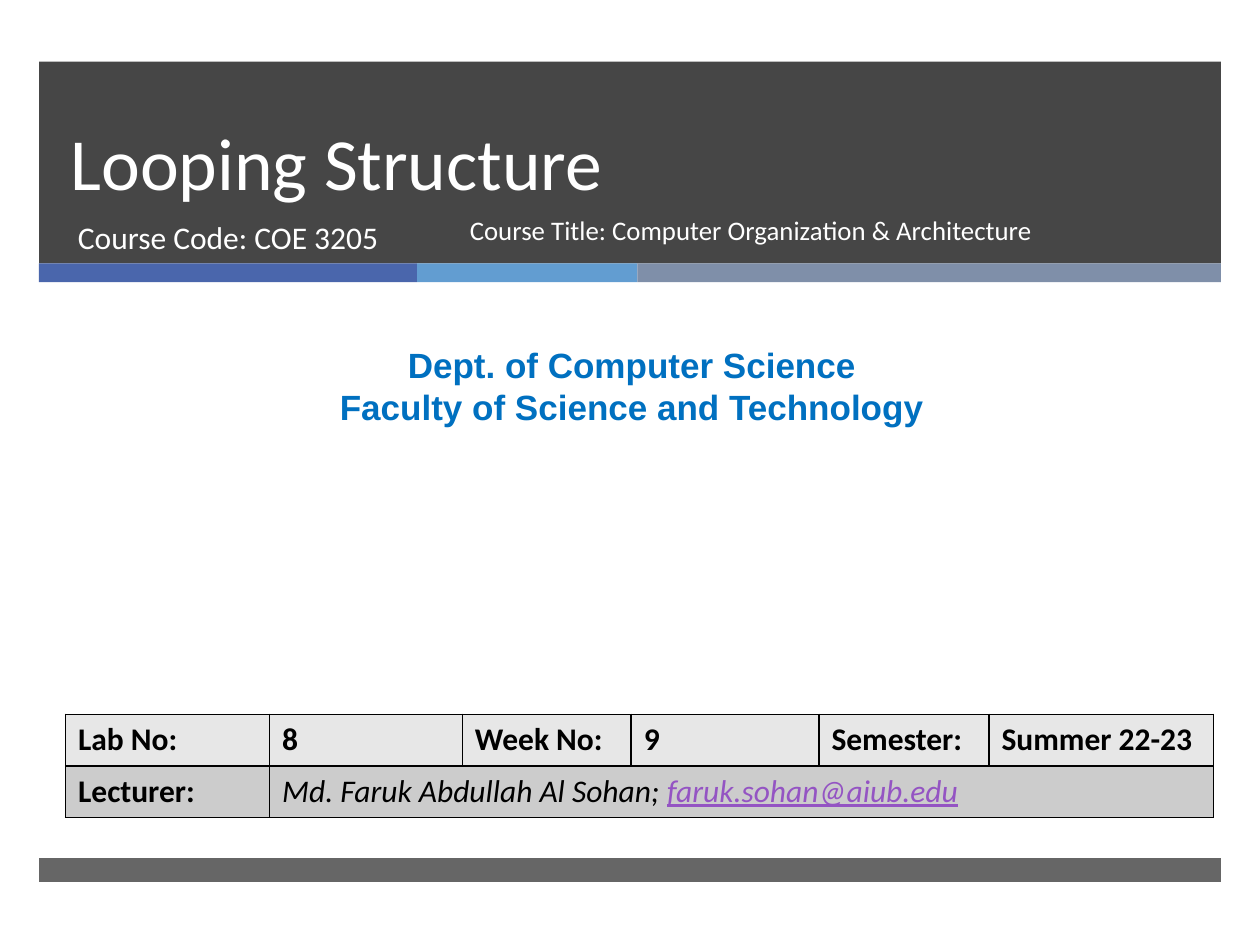
from lxml.etree import SubElement
from pptx import Presentation
from pptx.dml.color import RGBColor
from pptx.enum.shapes import MSO_SHAPE
from pptx.enum.text import MSO_ANCHOR, PP_ALIGN
from pptx.oxml import parse_xml
from pptx.oxml.ns import nsdecls, qn
from pptx.util import Inches, Pt

THEME = {
    "dark": "262626", "white": "FFFFFF", "black": "000000",
    "dept": "0070C0", "email": "9454C3",
    "stripes": ["4A66AC", "629DD1", "7F8FA9"],
    "rows": ["E7E7E7", "CCCCCC"],
    "font": "Calibri", "dept_font": "Arial",
    "title": 42, "body": 18, "dept_size": 20, "course": 15.3,
}

TITLE = "Looping Structure"
COURSE_CODE = "Course Code: COE 3205"
COURSE_TITLE = "Course Title: Computer Organization & Architecture"
DEPT = ["Dept. of Computer Science", "Faculty of Science and Technology"]
LAB_INFO = ["Lab No:", "8", "Week No:", "9", "Semester:", "Summer 22-23"]
LECTURER_LABEL = "Lecturer:"
LECTURER = "Md. Faruk Abdullah Al Sohan; "
EMAIL = "faruk.sohan@aiub.edu"

LEFT, WIDTH = 0.31, 9.38
STRIPE_WIDTHS = [3, 1.75, 4.63]
COL_WIDTHS = [1.62, 1.53, 1.34, 1.49, 1.35, 1.78]
ROW_HEIGHT = 0.41


def rgb(color):
    return RGBColor.from_string(color)


def format_run(r, size, color, font=THEME["font"], bold=False, italic=False):
    r.font.name, r.font.size = font, Pt(size)
    r.font.bold, r.font.italic = bold, italic
    r.font.color.rgb = rgb(color)


def add_band(s, x, y, w, h, color, opacity=100):
    sp = s.shapes.add_shape(MSO_SHAPE.RECTANGLE, *map(Inches, (x, y, w, h)))
    sp.shadow.inherit = False
    sp.line.fill.background()
    sp.fill.solid()
    sp.fill.fore_color.rgb = rgb(color)
    if opacity < 100:
        clr = sp.element.spPr.find(f".//{qn('a:srgbClr')}")
        SubElement(clr, qn("a:alpha")).set("val", str(opacity * 1000))


def fill_text(sp, lines, size, color, align=PP_ALIGN.LEFT, **style):
    tf = sp.text_frame
    tf.word_wrap = True
    tf.text = "\n".join(lines)
    for p in tf.paragraphs:
        p.alignment = align
        for r in p.runs:
            format_run(r, size, color, **style)
    return tf


def add_text(s, box, lines, size, color, **style):
    sp = s.shapes.add_textbox(*map(Inches, box))
    return fill_text(sp, lines, size, color, **style)


def style_cell(cell, color):
    cell.fill.solid()
    cell.fill.fore_color.rgb = rgb(color)
    tcPr = cell._tc.get_or_add_tcPr()
    for i, side in enumerate(("lnL", "lnR", "lnT", "lnB")):
        tcPr.insert(i, parse_xml(
            f'<a:{side} {nsdecls("a")} w="{Pt(1)}"><a:solidFill>'
            f'<a:srgbClr val="{THEME["black"]}"/></a:solidFill></a:{side}>'))


def add_cell_run(cell, text, color=THEME["black"], **style):
    r = cell.text_frame.paragraphs[0].add_run()
    r.text = text
    format_run(r, THEME["body"], color, **style)
    return r


def add_info_table(s):
    box = (0.52, 5.67, sum(COL_WIDTHS), 2 * ROW_HEIGHT)
    table = s.shapes.add_table(2, len(COL_WIDTHS), *map(Inches, box)).table
    for col, w in zip(table.columns, COL_WIDTHS):
        col.width = Inches(w)
    for i, color in enumerate(THEME["rows"]):
        table.rows[i].height = Inches(ROW_HEIGHT)
        for cell in table.rows[i].cells:
            style_cell(cell, color)
    table.cell(1, 1).merge(table.cell(1, len(COL_WIDTHS) - 1))
    for cell, text in zip(table.rows[0].cells, LAB_INFO):
        add_cell_run(cell, text, bold=True)
    add_cell_run(table.cell(1, 0), LECTURER_LABEL, bold=True)
    add_cell_run(table.cell(1, 1), LECTURER, italic=True)
    r = add_cell_run(table.cell(1, 1), EMAIL, THEME["email"], italic=True)
    r.font.underline = True


def main():
    prs = Presentation()
    prs.slide_width, prs.slide_height = Inches(10), Inches(7.5)
    s = prs.slides.add_slide(prs.slide_layouts[5])

    add_band(s, LEFT, 0.49, WIDTH, 1.6, THEME["dark"], 85)
    for i, (w, color) in enumerate(zip(STRIPE_WIDTHS, THEME["stripes"])):
        add_band(s, LEFT + sum(STRIPE_WIDTHS[:i]), 2.09, w, 0.15, color)
    add_band(s, LEFT, 6.81, WIDTH, 0.19, THEME["dark"], 70)

    title = s.shapes.title
    title.element.getparent().append(title.element)
    title.left, title.top, title.width, title.height = map(
        Inches, (0.46, 0.49, 8.54, 1.19))
    tf = fill_text(title, [TITLE], THEME["title"], THEME["white"])
    tf.vertical_anchor = MSO_ANCHOR.BOTTOM
    tf.paragraphs[0].line_spacing = Pt(46)

    add_text(s, (0.52, 1.68, 3.05, 0.53), [COURSE_CODE],
             THEME["body"], THEME["white"])
    add_text(s, (0.08, 2.68, 9.87, 0.77), DEPT, THEME["dept_size"],
             THEME["dept"], font=THEME["dept_font"], bold=True,
             align=PP_ALIGN.CENTER)
    add_info_table(s)
    tf = add_text(s, (3.63, 1.68, 4.69, 0.53), [COURSE_TITLE],
                  THEME["course"], THEME["white"])
    tf.paragraphs[0].line_spacing = 0.9

    prs.save("out.pptx")


if __name__ == "__main__":
    main()
